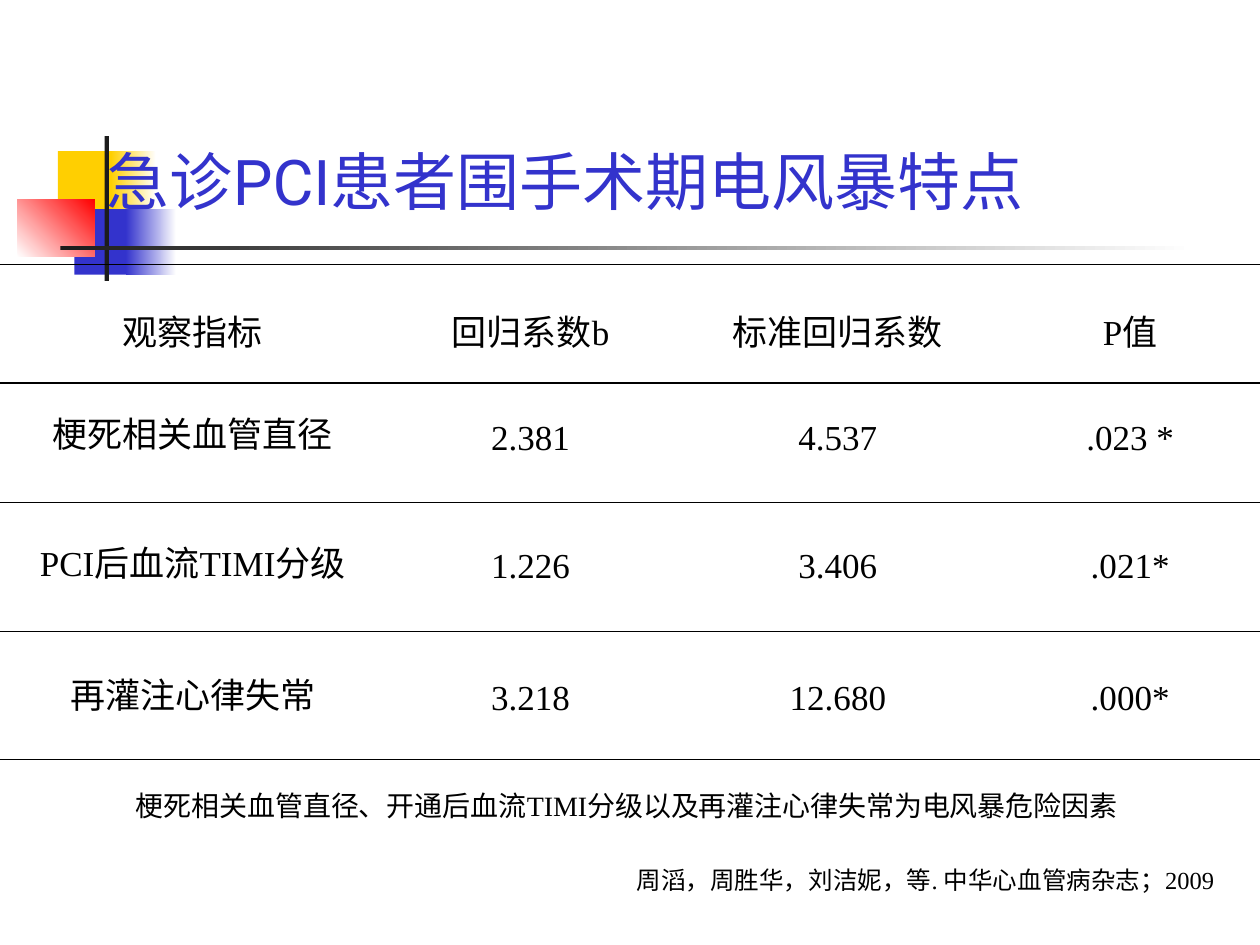
import pptx
import pptx.util
import pptx.dml.color
import pptx.enum.shapes
import pptx.enum.text
import pptx.oxml

COLORS = {"yellow": "FFCF01", "blue": "3333CC", "red": "FF0000",
          "dark": "1C1C1C", "white": "FFFFFF", "black": "000000"}
ALIGN = pptx.enum.text.PP_ALIGN
ANCHOR = pptx.enum.text.MSO_ANCHOR
rgb = {name: pptx.dml.color.RGBColor.from_string(value) for name, value in COLORS.items()}

deck = pptx.Presentation()
deck.slide_width = pptx.util.Inches(10)
deck.slide_height = pptx.util.Inches(7.5)
slide = deck.slides.add_slide(deck.slide_layouts[6])
col = deck.slide_width / 100
row = deck.slide_height / 100


def place(left, top, width, height):
    return [round(n) for n in (left * col, top * row, width * col, height * row)]


def style(paragraph, text, size, font, color, align):
    paragraph.text = text
    paragraph.alignment = align
    paragraph.font.size = pptx.util.Pt(size)
    paragraph.font.name = font
    paragraph.font.color.rgb = rgb[color]


ornaments = [
    ((4.6, 16, 4.8, 6.93), ["yellow"], 0),
    ((8.8, 16, 3.6, 6.93), ["yellow", "white"], 0),
    ((5.9, 22.13, 4.6, 6.93), ["blue"], 0),
    ((10, 22.13, 4, 6.93), ["blue", "white"], 0),
    ((1.4, 21.07, 6.1, 6.13), ["white", "red"], 45),
    ((8.3, 14.4, 0.35, 15.33), ["dark"], 0),
    ((4.8, 26, 90, 0.5), ["dark", "white"], 0),
]
for area, shades, angle in ornaments:
    ornament = slide.shapes.add_shape(pptx.enum.shapes.MSO_SHAPE.RECTANGLE, *place(*area))
    ornament.shadow.inherit = False
    ornament.line.fill.background()
    if len(shades) == 1:
        ornament.fill.solid()
        ornament.fill.fore_color.rgb = rgb[shades[0]]
    else:
        ornament.fill.gradient()
        ornament.fill.gradient_angle = angle
        for stop, shade in zip(ornament.fill.gradient_stops, shades):
            stop.color.rgb = rgb[shade]

captions = [
    ((7.5, 7.07, 85, 16.67), "急诊PCI患者围手术期电风暴特点",
     36, "Roboto", "blue", ALIGN.LEFT, ANCHOR.BOTTOM),
    ((9.8, 82.8, 82.7, 4.93), "梗死相关血管直径、开通后血流TIMI分级以及再灌注心律失常为电风暴危险因素",
     16, "Times New Roman", "black", ALIGN.LEFT, ANCHOR.TOP),
    ((48.45, 90.93, 50, 4.4), "周滔，周胜华，刘洁妮，等. 中华心血管病杂志；2009",
     14, "Times New Roman", "black", ALIGN.CENTER, ANCHOR.TOP),
]
for area, text, size, font, color, align, anchor in captions:
    frame = slide.shapes.add_textbox(*place(*area)).text_frame
    frame.word_wrap = True
    frame.vertical_anchor = anchor
    style(frame.paragraphs[0], text, size, font, color, align)

findings = [
    ["观察指标", "回归系数b", "标准回归系数", "P值"],
    ["梗死相关血管直径", "2.381", "4.537", ".023 *"],
    ["PCI后血流TIMI分级", "1.226", "3.406", ".021*"],
    ["再灌注心律失常", "3.218", "12.680", ".000*"],
]
column_widths = [30.6, 23, 25.8, 20.6]
row_heights = [12.53, 12.67, 13.6, 13.6]
row_padding = [5.2, 3.5, 4.4, 4.8]
table = slide.shapes.add_table(4, 4, *place(0, 28, 100, sum(row_heights))).table
table.first_row = False
table.horz_banding = False
for column, width in zip(table.columns, column_widths):
    column.width = round(width * col)
for line, height in zip(table.rows, row_heights):
    line.height = round(height * row)

for r, record in enumerate(findings):
    for c, text in enumerate(record):
        cell = table.cell(r, c)
        cell.fill.background()
        cell.margin_left = cell.margin_right = round((2.9 if c == 0 else 1) * col)
        cell.margin_top = round(row_padding[r] * row)
        cell.margin_bottom = 0
        entry = cell.text_frame.paragraphs[0]
        style(entry, text, 20, "Times New Roman", "black", ALIGN.CENTER)
        entry.line_spacing = pptx.util.Pt(24)
        for position, edge in enumerate(["lnL", "lnR", "lnT", "lnB"]):
            paint = "<a:noFill/>"
            if edge in ("lnT", "lnB"):
                paint = f'<a:solidFill><a:srgbClr val="{COLORS["black"]}"/></a:solidFill>'
            border = pptx.oxml.parse_xml(
                f'<a:{edge} xmlns:a="http://schemas.openxmlformats.org/drawingml/2006/main" '
                f'w="{pptx.util.Pt(0.75)}">{paint}</a:{edge}>')
            cell._tc.get_or_add_tcPr().insert(position, border)

deck.save("out.pptx")
